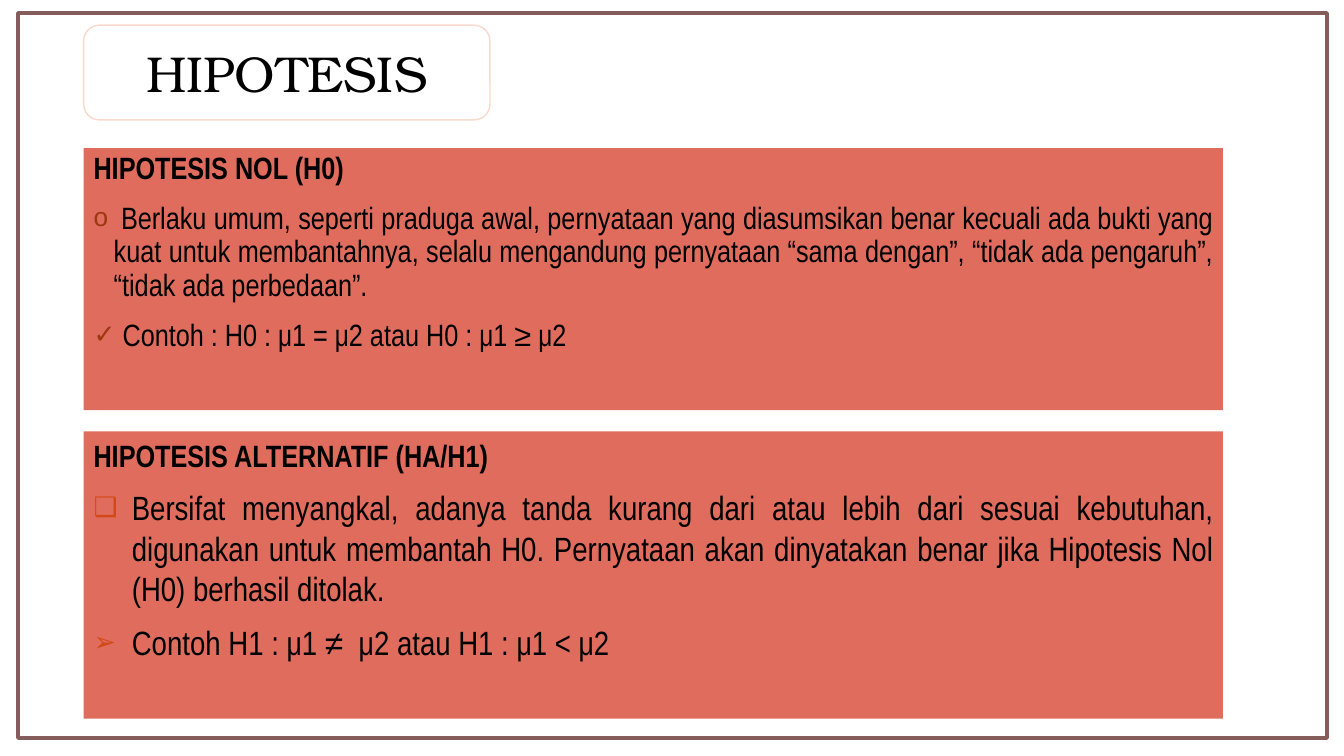
from lxml import etree
from pptx import Presentation
from pptx.dml.color import RGBColor
from pptx.enum import shapes, text
from pptx.oxml import ns
from pptx.util import Inches, Pt

SHAPE = shapes.MSO_SHAPE
ALIGN = text.PP_ALIGN
ANCHOR = text.MSO_ANCHOR


def tint(hue):
    """Turn a hex string into a colour."""
    return RGBColor.from_string(hue)


def block(slide, kind, box, fill=None, line=None, width=1):
    """Draw a plain shape in a box given in inches."""
    shape = slide.shapes.add_shape(kind, *map(Inches, box))
    shape.shadow.inherit = False
    if fill:
        shape.fill.solid()
        shape.fill.fore_color.rgb = tint(fill)
    else:
        shape.fill.background()
    if line:
        shape.line.color.rgb = tint(line)
        shape.line.width = Pt(width)
    else:
        shape.line.fill.background()
    return shape


def style(para, face, size, bold=False, align=ALIGN.JUSTIFY):
    """Set the font and alignment of a paragraph."""
    para.alignment = align
    font = para.font
    font.name, font.size, font.bold = face, Pt(size), bold
    font.color.rgb = tint("000000")


def bullet(para, mark, hue, scale, indent):
    """Give a paragraph a coloured bullet and a hanging indent."""
    props = para._p.get_or_add_pPr()
    props.set("marL", str(Inches(indent)))
    props.set("indent", str(-Inches(indent)))
    color = etree.SubElement(props, ns.qn("a:buClr"))
    etree.SubElement(color, ns.qn("a:srgbClr"), val=hue)
    etree.SubElement(props, ns.qn("a:buSzPct"), val=str(scale * 1000))
    etree.SubElement(props, ns.qn("a:buFont"), typeface="Arial")
    etree.SubElement(props, ns.qn("a:buChar"), char=mark)


def heading(slide, box, words):
    """Place the title in a rounded outline."""
    block(slide, SHAPE.ROUNDED_RECTANGLE, box, line="FAD9CD")
    title = slide.shapes.title
    title.left, title.top, title.width, title.height = map(Inches, box)
    frame = title.text_frame
    frame.text = words
    frame.vertical_anchor = ANCHOR.MIDDLE
    style(frame.paragraphs[0], "TeX Gyre Bonum", 36, align=ALIGN.CENTER)


def panel(slide, box, head, items, size, gap, lead, hue, scale, indent):
    """Fill a red box with a bold head and bulleted items."""
    frame = block(slide, SHAPE.RECTANGLE, box, fill="DF6C5D").text_frame
    frame.word_wrap = True
    frame.vertical_anchor = ANCHOR.TOP
    first = frame.paragraphs[0]
    first.text = head
    first.line_spacing = lead
    style(first, "Arial Narrow", 22, bold=True)
    for mark, words in items:
        para = frame.add_paragraph()
        para.text = words
        para.line_spacing = lead
        para.space_before = Pt(gap)
        bullet(para, mark, hue, scale, indent)
        style(para, "Arial Narrow", size)


def main():
    """Build the slide and save it."""
    deck = Presentation()
    deck.slide_width, deck.slide_height = Inches(13.33), Inches(7.5)
    slide = deck.slides.add_slide(deck.slide_layouts[5])
    left, width = 0.83, 11.3
    block(slide, SHAPE.RECTANGLE, (0.18, 0.13, 12.98, 7.19), line="855D5D", width=3)
    heading(slide, (left, 0.25, 4.03, 0.94), "HIPOTESIS")
    null = [
        ("o", " Berlaku umum, seperti praduga awal, pernyataan yang diasumsikan benar "
              "kecuali ada bukti yang kuat untuk membantahnya, selalu mengandung pernyataan "
              "“sama dengan”, “tidak ada pengaruh”, “tidak ada perbedaan”."),
        ("✓", " Contoh : H0 : μ1 = μ2 atau H0 : μ1 ≥ μ2"),
    ]
    panel(slide, (left, 1.47, width, 2.6), "HIPOTESIS NOL (H0)", null,
          size=22, gap=12, lead=0.9, hue="9E3611", scale=85, indent=0.2)
    other = [
        ("❑", "Bersifat menyangkal, adanya tanda kurang dari atau lebih dari sesuai "
              "kebutuhan, digunakan untuk membantah H0. Pernyataan akan dinyatakan benar "
              "jika Hipotesis Nol (H0) berhasil ditolak."),
        ("➢", "Contoh H1 : μ1 ≠  μ2 atau H1 : μ1 < μ2"),
    ]
    panel(slide, (left, 4.28, width, 2.85), "HIPOTESIS ALTERNATIF (HA/H1)", other,
          size=24, gap=10, lead=1.0, hue="D34817", scale=80, indent=0.38)
    deck.save("out.pptx")


if __name__ == "__main__":
    main()
